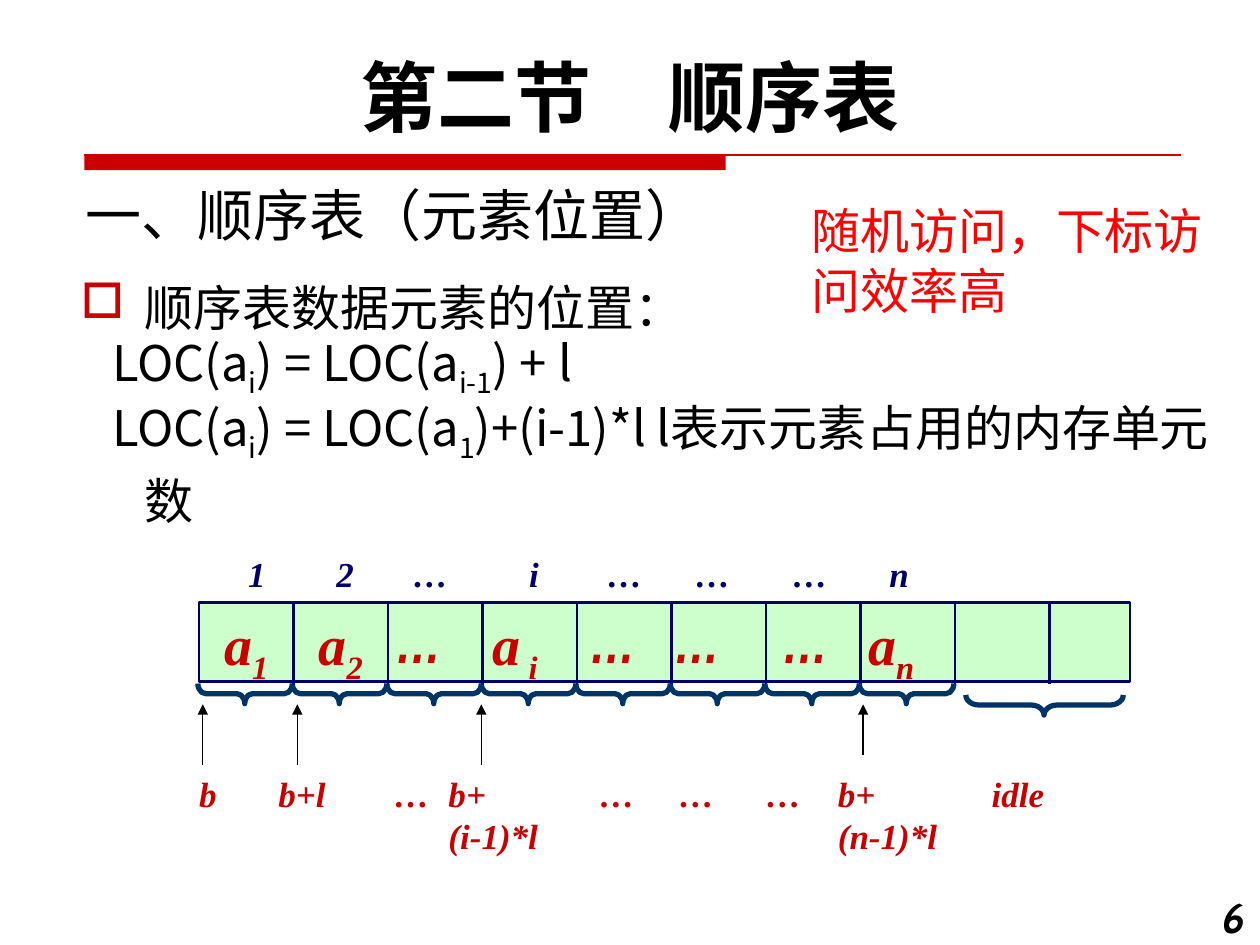
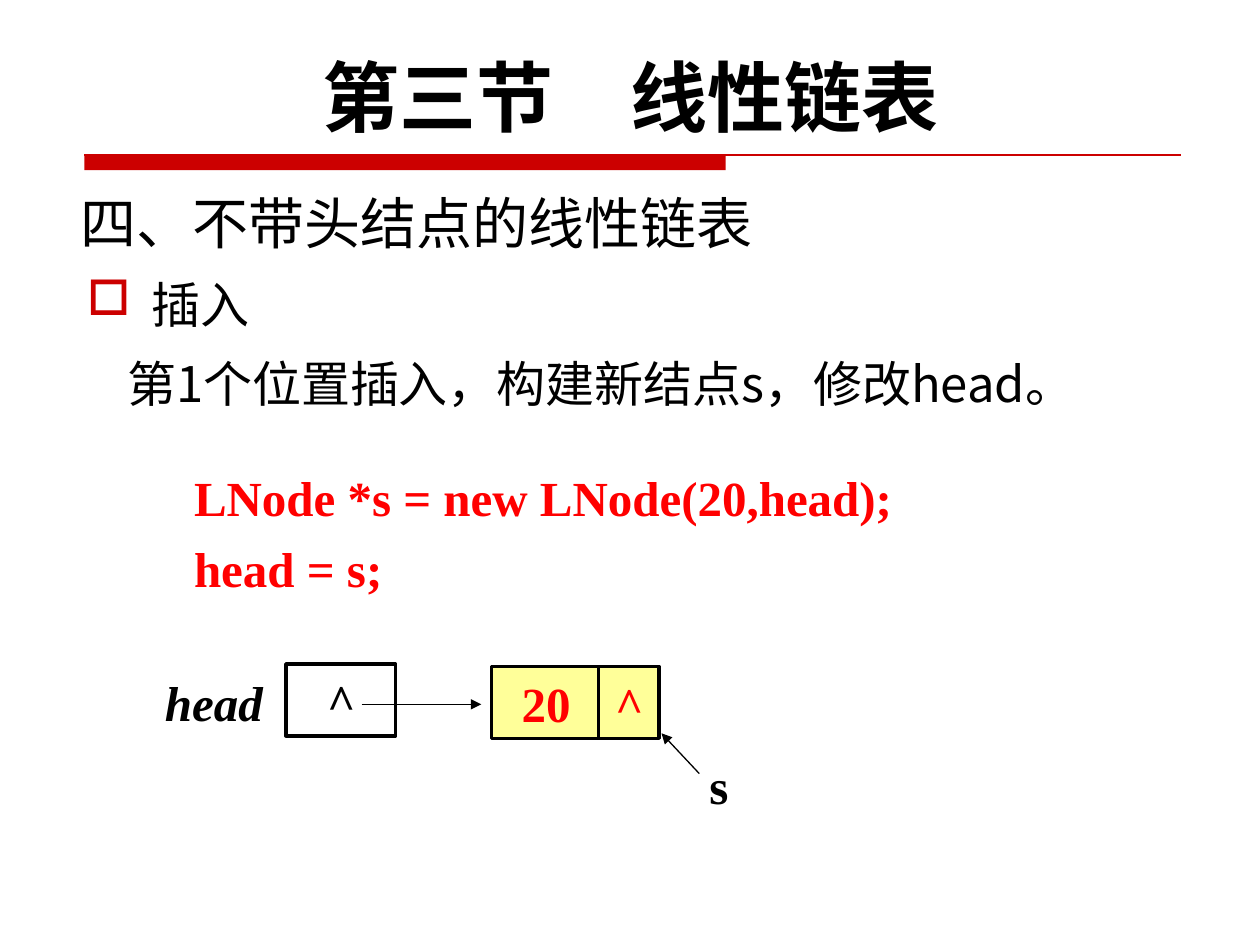
from dataclasses import dataclass, replace
from typing import Optional

from lxml.etree import SubElement
from pptx import Presentation
from pptx.dml.color import RGBColor
from pptx.enum.shapes import MSO_CONNECTOR, MSO_SHAPE
from pptx.enum.text import MSO_ANCHOR, PP_ALIGN
from pptx.oxml.ns import qn
from pptx.util import Inches, Pt

SANS, SERIF, HEADING = "Noto Sans CJK SC", "Times New Roman", "Cabin"


@dataclass(frozen=True)
class TextStyle:
    size: float
    font: str = SANS
    color: str = "000000"
    bold: bool = False
    italic: bool = False
    align: Optional[PP_ALIGN] = None

    @property
    def line_height(self):
        return self.size * (1.107 if self.font == SERIF else 1.215)

    @property
    def ascent(self):
        """Points from the top of a line to its baseline."""
        return self.line_height - self.size * (0.216 if self.font == SERIF else 0.288)


class Theme:
    # Colours
    BLACK, RED, BAND, DEEP_RED = "000000", "FF0000", "CC0000", "C80000"
    NAVY, BRACE, GREEN, YELLOW = "000066", "003366", "CCFFCC", "FFFF99"
    # Type
    section = TextStyle(44, HEADING, bold=True, align=PP_ALIGN.CENTER)
    page = TextStyle(24, HEADING, bold=True, italic=True, align=PP_ALIGN.RIGHT)
    topic = TextStyle(32)
    body = TextStyle(28)
    remark = replace(body, color=RED)
    code = TextStyle(28, SERIF, RED, bold=True)
    pointer = TextStyle(28, SERIF, bold=True, italic=True)
    element = TextStyle(32, SERIF, DEEP_RED, True, True)
    dots = replace(element, font="Arial Narrow", color=BAND)
    index = TextStyle(20, SERIF, NAVY, True, True)
    address = replace(index, color=DEEP_RED)


class Deck:
    """Draws on the current slide, on a grid of 100 columns and 75 rows."""
    COLUMNS, ROWS = 100, 75

    def __init__(self, theme):
        self.theme = theme
        self.presentation = Presentation()
        self.presentation.slide_width = Inches(10)
        self.presentation.slide_height = Inches(7.5)
        self.slide = None

    def x(self, column):
        return round(self.presentation.slide_width * column / self.COLUMNS)

    def y(self, row):
        return round(self.presentation.slide_height * row / self.ROWS)

    def new_slide(self, section):
        """Start a slide with the section title and the red band."""
        self.slide = self.presentation.slides.add_slide(
            self.presentation.slide_layouts[6])
        band = self.theme.BAND
        self.shape(MSO_SHAPE.RECTANGLE, 6.7, 12.3, 50.9, 1.2, fill=band)
        self.line((6.7, 12.3), (93.7, 12.3), band)
        self.text(section, 3.8, 9.5, 92.5, self.theme.section)

    def add_runs(self, paragraph, parts, style):
        """Add runs; every second part is a subscript."""
        paragraph.alignment = style.align
        for number, part in enumerate(parts):
            run = paragraph.add_run()
            run.text = part
            font = run.font
            font.name, font.size = style.font, Pt(style.size)
            font.bold, font.italic = style.bold, style.italic
            font.color.rgb = RGBColor.from_string(style.color)
            properties = run._r.get_or_add_rPr()
            east_asian = SANS if style.font == HEADING else style.font
            SubElement(properties, qn("a:ea"), typeface=east_asian)
            if number % 2:
                properties.set("baseline", "-25000")

    def text(self, parts, column, baseline, width, style, wrap=True):
        """Text whose first line stands on the given baseline row."""
        parts = (parts,) if isinstance(parts, str) else parts
        top = self.y(baseline) - Pt(style.ascent)
        box = self.slide.shapes.add_textbox(
            self.x(column), top, self.x(width), Pt(style.line_height))
        frame = box.text_frame
        frame.word_wrap = wrap
        frame.margin_left = frame.margin_right = 0
        frame.margin_top = frame.margin_bottom = 0
        paragraph = frame.paragraphs[0]
        if style.font in (SANS, HEADING):
            paragraph.line_spacing = Pt(style.line_height)
        self.add_runs(paragraph, parts, style)
        return frame

    def indent(self, paragraph, first):
        """Hang the paragraph, with its first line at the given column."""
        properties = paragraph._p.get_or_add_pPr()
        hanging = self.x(5.1)
        properties.set("marL", str(hanging))
        properties.set("indent", str(self.x(first) - hanging))
        return properties

    def bullet(self, text, column, baseline, width):
        frame = self.text(text, column, baseline, width, self.theme.body)
        properties = self.indent(frame.paragraphs[0], 0)
        color = SubElement(properties, qn("a:buClr"))
        SubElement(color, qn("a:srgbClr"), val=self.theme.BAND)
        SubElement(properties, qn("a:buChar"), char="□")
        return frame

    def formula(self, frame, parts, spacing):
        paragraph = frame.add_paragraph()
        self.indent(paragraph, 2.5)
        paragraph.line_spacing = Pt(spacing)
        self.add_runs(paragraph, parts, self.theme.body)

    def labels(self, texts, columns, baseline, style):
        for text, column in zip(texts, columns):
            self.text(text, column, baseline, 8, style, wrap=False)

    def shape(self, kind, column, row, width, height, fill=None, outline=None, weight=2):
        shape = self.slide.shapes.add_shape(
            kind, self.x(column), self.y(row), self.x(width), self.y(height))
        shape.shadow.inherit = False
        if fill:
            shape.fill.solid()
            shape.fill.fore_color.rgb = RGBColor.from_string(fill)
        else:
            shape.fill.background()
        if outline:
            shape.line.color.rgb = RGBColor.from_string(outline)
            shape.line.width = Pt(weight)
        else:
            shape.line.fill.background()
        return shape

    def node(self, text, column, row, width, style, fill=None):
        box = self.shape(MSO_SHAPE.RECTANGLE, column, row, width, 5.7,
                         fill, self.theme.BLACK)
        box.text_frame.vertical_anchor = MSO_ANCHOR.MIDDLE
        self.add_runs(box.text_frame.paragraphs[0], (text,),
                      replace(style, align=PP_ALIGN.CENTER))

    def brace(self, center, row, length, curve):
        """A brace that opens upwards, centred on a column and row."""
        depth = 1.6
        brace = self.shape(MSO_SHAPE.LEFT_BRACE, center - depth / 2, row - length / 2,
                           depth, length, outline=self.theme.BRACE, weight=3)
        brace.adjustments[0], brace.adjustments[1] = curve, 0.497
        brace.rotation = 270

    def line(self, start, end, color, weight=0.75, arrow=False):
        connector = self.slide.shapes.add_connector(
            MSO_CONNECTOR.STRAIGHT, self.x(start[0]), self.y(start[1]),
            self.x(end[0]), self.y(end[1]))
        connector.line.color.rgb = RGBColor.from_string(color)
        connector.line.width = Pt(weight)
        properties = connector._element.spPr
        if arrow:
            SubElement(properties.find(qn("a:ln")), qn("a:tailEnd"), type="triangle")
        SubElement(properties, qn("a:effectLst"))

    def arrow(self, start, end):
        self.line(start, end, self.theme.BLACK, arrow=True)


def sequential_list(deck):
    theme = deck.theme
    deck.new_slide("第二节　顺序表")
    deck.text("一、顺序表（元素位置）", 6.8, 18.4, 60.5, theme.topic)
    deck.text("随机访问，下标访问效率高", 64.4, 19.5, 32.7, theme.remark)
    deck.text("6", 93.3, 73.8, 5.6, theme.page)

    # Address formulas
    frame = deck.bullet("顺序表数据元素的位置：", 6.4, 25.6, 92)
    deck.formula(frame, ("LOC(a", "i", ") = LOC(a", "i-1", ") + l"), 36)
    deck.formula(frame, ("LOC(a", "i", ") = LOC(a", "1",
                         ")+(i-1)*l l表示元素占用的内存单元数"), 37)

    # Memory cells
    left, top, cell, height = 15.8, 47.8, 7.5, 6.3
    deck.shape(MSO_SHAPE.RECTANGLE, left, top, 73.9, height, theme.GREEN, theme.NAVY, 1.5)
    for number in range(1, 10):
        edge = left + number * cell
        deck.line((edge, top), (edge, top + height + 0.2), theme.NAVY, 1.5)
    elements = (("a", "1"), ("a", "2"), ("a", " i"), ("a", "n"))
    deck.labels(elements, (17.8, 25.3, 39.1, 68.9), 52.3, theme.element)
    deck.labels("…" * 4, (31.4, 46.8, 53.5, 62.1), 52.3, theme.dots)
    deck.labels("12…i………n", (19.7, 26.7, 32.8, 42, 48.2, 55.2, 62.9, 70.6),
                46.35, theme.index)

    # Braces under the used cells and the idle space
    for number in range(8):
        deck.brace(left + (number + 0.5) * cell - 0.1, 55.05, cell, 0.387)
    deck.brace(82.9, 55.95, 12.5, 0.652)

    # Start addresses
    for column, tail in ((16.1, 60.7), (23.6, 60.7), (38.2, 60.7), (68.5, 59.9)):
        deck.arrow((column, tail), (column, 55.9))
    deck.labels(("b", "b+l", "…", "b+(i-1)*l", "…", "…", "…", "b+(n-1)*l", "idle"),
                (15.8, 22.1, 31.3, 35.6, 47.6, 53.9, 60.8, 66.5, 78.7),
                63.75, theme.address)


def linked_list(deck):
    theme = deck.theme
    deck.new_slide("第三节　线性链表")
    deck.text("四、不带头结点的线性链表", 6.4, 19, 85, theme.topic)
    deck.bullet("插入", 6.9, 25.3, 90)
    deck.text("第1个位置插入，构建新结点s，修改head。", 10.1, 31.6, 84, theme.body)

    # Code
    for number, code in enumerate(("LNode *s = new LNode(20,head);", "head = s;")):
        deck.text(code, 15.4, 40.6 + 5.6 * number, 71.7, theme.code)

    # Head pointer and new node
    deck.text("head", 13.1, 56.8, 9, theme.pointer)
    deck.node("^", 22.7, 52.7, 8.7, theme.pointer)
    deck.arrow((28.7, 55.9), (38.2, 55.9))
    deck.node("20", 39, 52.9, 8.7, theme.code, theme.YELLOW)
    deck.node("^", 47.5, 52.9, 4.8, replace(theme.code, italic=True), theme.YELLOW)
    deck.text("s", 56.3, 63.4, 8.7, replace(theme.pointer, italic=False))
    deck.arrow((55.5, 61.4), (52.5, 58.2))


def main():
    deck = Deck(Theme())
    sequential_list(deck)
    linked_list(deck)
    deck.presentation.save("out.pptx")


if __name__ == "__main__":
    main()
